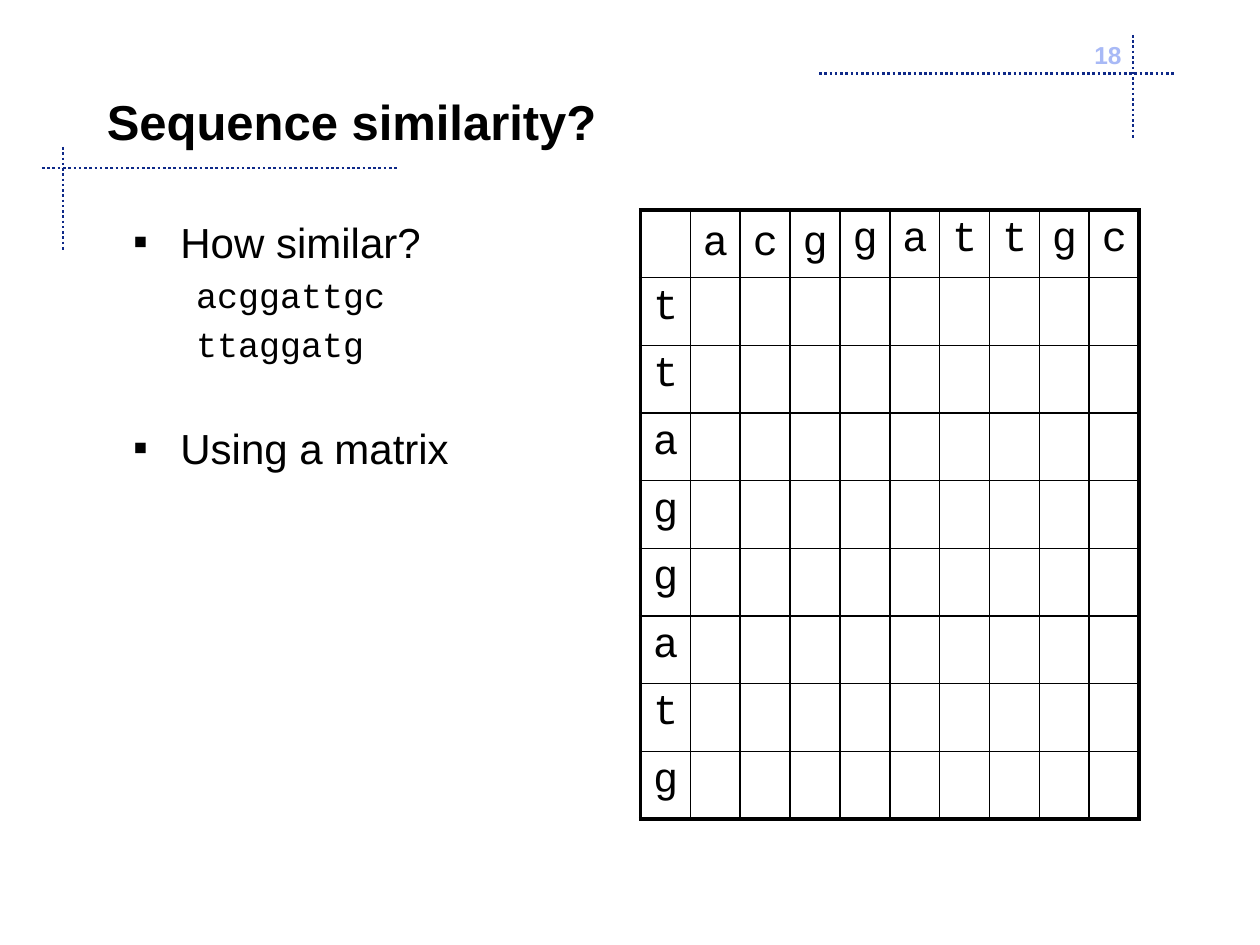
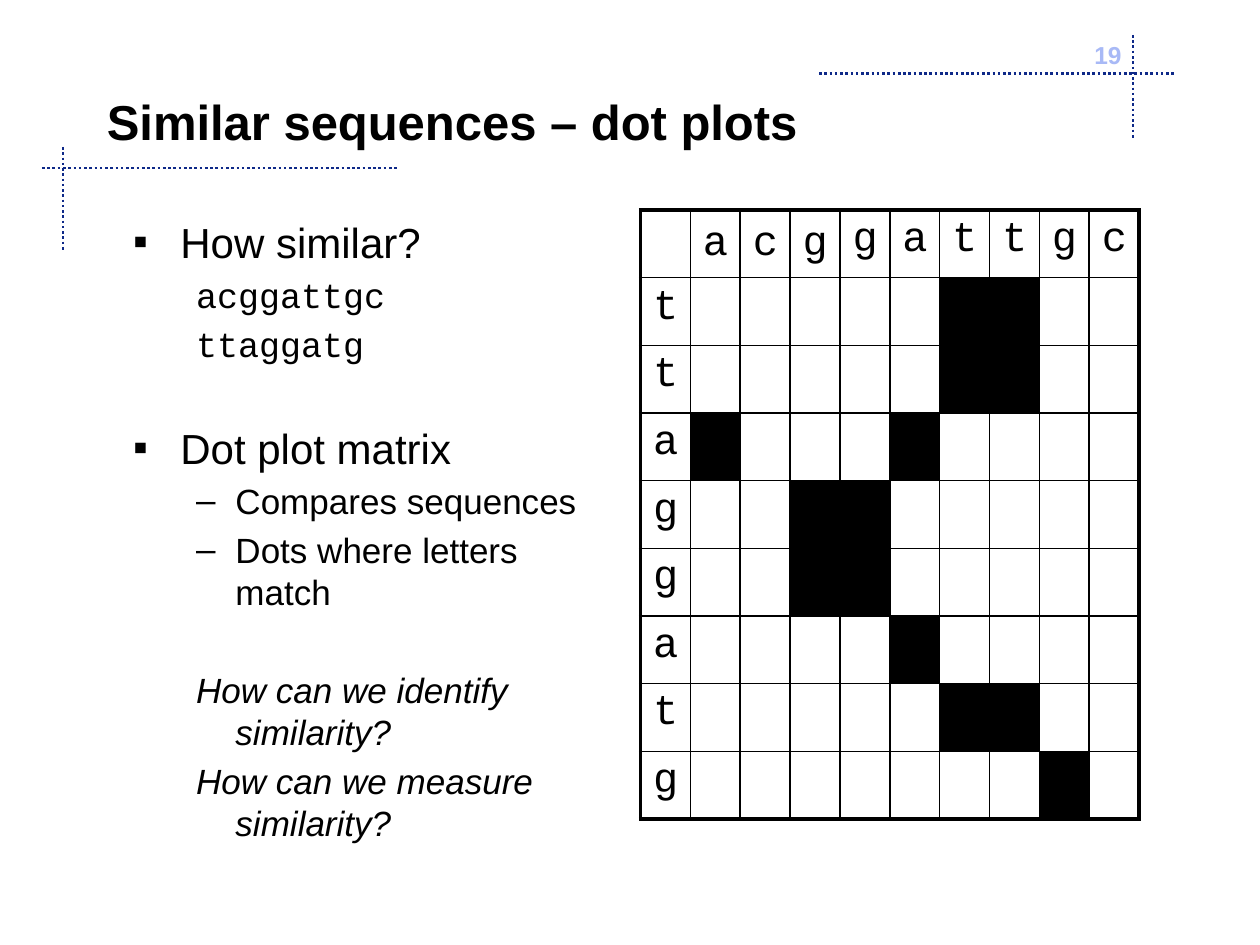
from lxml import etree
from pptx import Presentation
from pptx.dml.color import RGBColor
from pptx.enum import dml, shapes, text
from pptx.oxml import ns
from pptx.util import Pt

BLACK, NAVY, PALE_BLUE = "000000", "0E2988", "A8B9F6"
SANS, MONO = "Arial", "Courier New"
ACROSS, DOWN = "acggattgc", "ttaggatg"
THIN, THICK = 1, 2.25

TITLE_BOX = (54, 24, 582, 90)
NUMBER_BOX = (498, 19.5, 150, 36)
BODY_BOX = (69, 120, 285, 384)
MATRIX_BOX = (366, 120, 285, 348)
LEFT_CROSS = (24, 84, 204, 60, 12, 12)
RIGHT_CROSS = (468, 20, 204, 60, 179.5, 22)

NO_DOTS = ["." * len(ACROSS)] * len(DOWN)
DOTS = [
    ".....##..",
    ".....##..",
    "#...#....",
    "..##.....",
    "..##.....",
    "....#....",
    ".....##..",
    ".......#.",
]

HEADING = dict(size=24, indent=27, hang=27, bullet="▪")
DETAIL = dict(size=20, indent=58.5, hang=22.5)
SEQUENCE = dict(DETAIL, font=MONO)
POINT = dict(DETAIL, bullet="–")
QUESTION = dict(DETAIL, italic=True)
GAP = 28

QUERY = [("How similar?", HEADING), (ACROSS, SEQUENCE), (DOWN, SEQUENCE)]
SLIDES = [
    (18, "Sequence similarity?",
     QUERY + [("Using a matrix", dict(HEADING, gap=GAP))], NO_DOTS),
    (19, "Similar sequences – dot plots",
     QUERY + [("Dot plot matrix", dict(HEADING, gap=GAP)),
              ("Compares sequences", POINT),
              ("Dots where letters match", POINT),
              ("How can we identify similarity?", dict(QUESTION, gap=GAP)),
              ("How can we measure similarity?", QUESTION)], DOTS),
]


def color(hex_code):
    return RGBColor.from_string(hex_code)


def write(paragraph, words, size, font=SANS, ink=BLACK, bold=False, italic=False,
          align=text.PP_ALIGN.LEFT, indent=0, hang=0, bullet=None,
          before=0, leading=None):
    props = paragraph._p.get_or_add_pPr()
    props.set("marL", str(int(Pt(indent))))
    props.set("indent", str(int(Pt(-hang))))
    if bullet:
        etree.SubElement(props, ns.qn("a:buFont"), typeface=SANS)
        etree.SubElement(props, ns.qn("a:buChar"), char=bullet)
    else:
        etree.SubElement(props, ns.qn("a:buNone"))
    paragraph.alignment = align
    paragraph.space_before = Pt(before)
    if leading:
        paragraph.line_spacing = Pt(leading)
    run = paragraph.add_run()
    run.text = words
    run.font.name = font
    run.font.size = Pt(size)
    run.font.bold = bold
    run.font.italic = italic
    run.font.color.rgb = color(ink)


def add_frame(slide, box, anchor=text.MSO_ANCHOR.TOP):
    frame = slide.shapes.add_textbox(*map(Pt, box)).text_frame
    frame.word_wrap = True
    frame.vertical_anchor = anchor
    return frame


def add_dotted_line(slide, *ends):
    rule = slide.shapes.add_connector(shapes.MSO_CONNECTOR.STRAIGHT, *map(Pt, ends))
    rule.line.color.rgb = color(NAVY)
    rule.line.width = Pt(1.5)
    rule.line.dash_style = dml.MSO_LINE.ROUND_DOT
    etree.SubElement(rule._element.spPr, ns.qn("a:effectLst"))


def add_cross(slide, left, top, width, height, cross_x, cross_y):
    add_dotted_line(slide, left, top + cross_y, left + width, top + cross_y)
    add_dotted_line(slide, left + cross_x, top, left + cross_x, top + height)


def add_header(slide, number, title):
    add_cross(slide, *LEFT_CROSS)
    add_cross(slide, *RIGHT_CROSS)
    write(add_frame(slide, NUMBER_BOX).paragraphs[0], str(number), size=14,
          ink=PALE_BLUE, bold=True, align=text.PP_ALIGN.RIGHT)
    write(add_frame(slide, TITLE_BOX, text.MSO_ANCHOR.MIDDLE).paragraphs[0],
          title, size=28, bold=True)


def add_body(slide, box, lines):
    frame = add_frame(slide, box)
    for index, (words, style) in enumerate(lines):
        style = dict(style)
        size = style["size"]
        before = 0.2 * size + style.pop("gap", 0) if index else 0
        paragraph = frame.add_paragraph() if index else frame.paragraphs[0]
        write(paragraph, words, before=before, leading=1.2 * size, **style)


def set_borders(cell, **widths):
    props = cell._tc.get_or_add_tcPr()
    for side, width in widths.items():
        border = etree.SubElement(props, ns.qn(f"a:ln{side}"), w=str(int(Pt(width))))
        fill = etree.SubElement(border, ns.qn("a:solidFill"))
        etree.SubElement(fill, ns.qn("a:srgbClr"), val=BLACK)


def add_matrix(slide, box, dots):
    rows, columns = len(DOWN) + 1, len(ACROSS) + 1
    matrix = slide.shapes.add_table(rows, columns, *map(Pt, box)).table
    matrix.first_row = matrix.horz_banding = False
    for column in matrix.columns:
        column.width = Pt(box[2] / columns)
    for row in matrix.rows:
        row.height = Pt(box[3] / rows)
    for r in range(rows):
        for c in range(columns):
            cell = matrix.cell(r, c)
            set_borders(cell,
                        L=THICK if c == 0 else THIN,
                        R=THICK if c == columns - 1 else THIN,
                        T=THICK if r == 0 else THIN,
                        B=THICK if r == rows - 1 else THIN)
            if r and c and dots[r - 1][c - 1] == "#":
                cell.fill.solid()
                cell.fill.fore_color.rgb = color(BLACK)
            else:
                cell.fill.background()
            if (r == 0) != (c == 0):
                letter = DOWN[r - 1] if r else ACROSS[c - 1]
                write(cell.text_frame.paragraphs[0], letter, size=24, font=MONO)
            if r == 0 and 1 <= c <= 3:
                cell.vertical_anchor = text.MSO_ANCHOR.MIDDLE


def main():
    deck = Presentation()
    deck.slide_width, deck.slide_height = Pt(720), Pt(540)
    for number, title, lines, dots in SLIDES:
        slide = deck.slides.add_slide(deck.slide_layouts[6])
        add_header(slide, number, title)
        add_body(slide, BODY_BOX, lines)
        add_matrix(slide, MATRIX_BOX, dots)
    deck.save("out.pptx")


if __name__ == "__main__":
    main()
